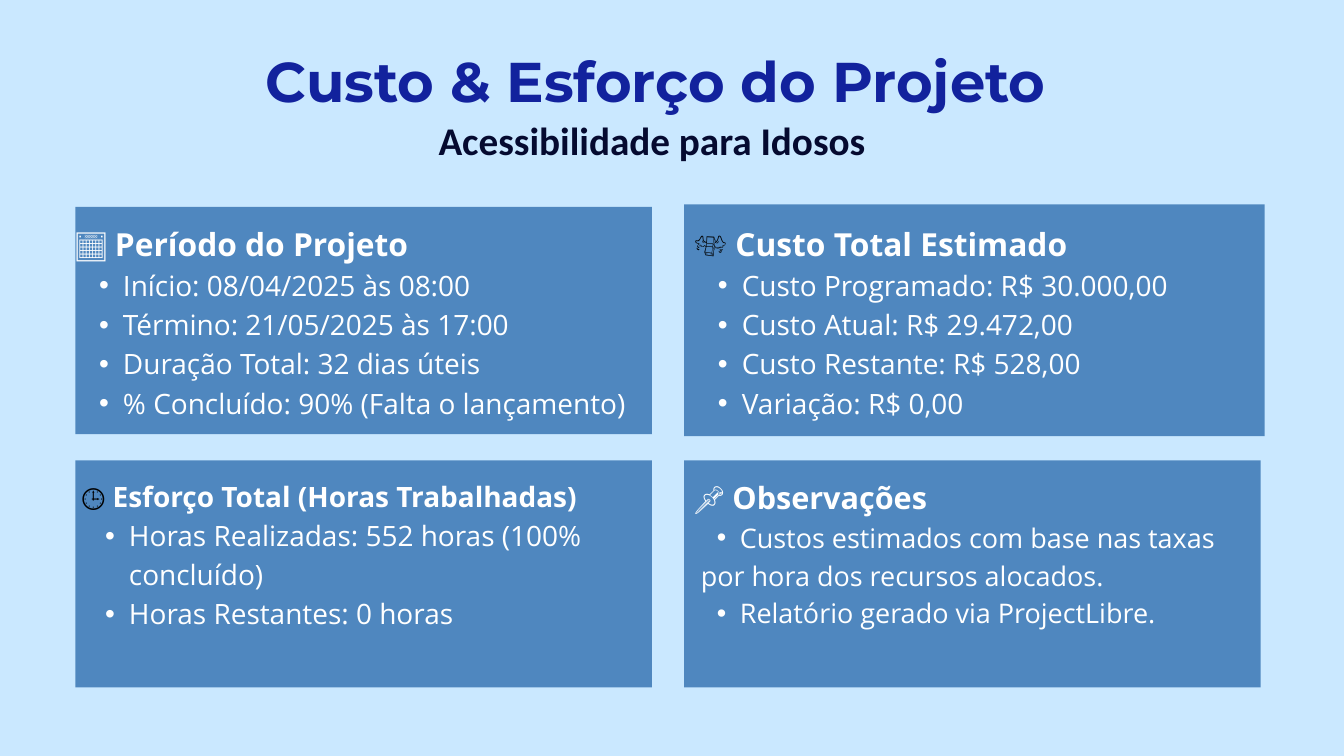
from lxml import etree
from pptx import Presentation
from pptx.dml.color import RGBColor
from pptx.enum.shapes import MSO_SHAPE as Shape
from pptx.enum.text import PP_ALIGN as Align
from pptx.oxml.ns import qn
from pptx.util import Inches, Pt

COLUMNS, ROWS = 20, 11.25
CELL = Inches(1)
WHITE, BLACK = "FFFFFF", "000000"
NAVY, INK = "12229D", "050A30"
SKY, PANEL = "CAE8FF", "2767AA"
LINE_RATIO = 1.4


def color(hex_code):
    return RGBColor.from_string(hex_code)


def grid(*cells):
    return [int(CELL * cell) for cell in cells]


def add_text_frame(slide, box):
    frame = slide.shapes.add_textbox(*grid(*box)).text_frame
    frame.word_wrap = True
    frame.margin_left = frame.margin_right = 0
    frame.margin_top = frame.margin_bottom = 0
    return frame


def style(paragraph, size, font_name, bold, hex_code=None, align=Align.LEFT):
    paragraph.alignment = align
    paragraph.line_spacing = Pt(round(size * LINE_RATIO, 1))
    paragraph.font.size = Pt(size)
    paragraph.font.name = font_name
    paragraph.font.bold = bold
    if hex_code:
        paragraph.font.color.rgb = color(hex_code)


def indent(paragraph, left, hanging=0):
    properties = paragraph._p.get_or_add_pPr()
    properties.set("marL", str(Inches(left)))
    properties.set("indent", str(-Inches(hanging)))
    return properties


def add_bullet(paragraph, left):
    paragraph.level = 1
    properties = indent(paragraph, left, left / 2)
    etree.SubElement(properties, qn("a:buFont")).set("typeface", "Arial")
    etree.SubElement(properties, qn("a:buChar")).set("char", "•")


def add_heading_line(slide, box, text, size, font_name, hex_code):
    line = add_text_frame(slide, box).paragraphs[0]
    line.text = text
    style(line, size, font_name, True, hex_code, Align.CENTER)


def add_header(slide, box):
    left, top, width, height = box
    add_heading_line(slide, (left, top, width, 1.1),
                     "Custo & Esforço do Projeto", 60, "Montserrat", NAVY)
    add_heading_line(slide, (left, top + 1.09, width - 0.1, height - 1.09),
                     "Acessibilidade para Idosos", 42, "Calibri", INK)


def add_panel(slide, box):
    panel = slide.shapes.add_shape(Shape.RECTANGLE, *grid(*box))
    panel.shadow.inherit = False
    panel.line.fill.background()
    panel.fill.solid()
    panel.fill.fore_color.rgb = color(PANEL)
    tint = panel._element.spPr.find(qn("a:solidFill"))[0]
    etree.SubElement(tint, qn("a:alpha")).set("val", "75000")


def add_card(slide, box, inset, text_width, icon, icon_color, title, items,
             title_size=34, item_size=30, item_indent=0.71,
             icon_bold=True, align=Align.LEFT):
    left, top, width, height = box
    add_panel(slide, box)
    dx, dy = inset
    frame = add_text_frame(slide, (left + dx, top + dy, text_width, height - dy))

    heading = frame.paragraphs[0]
    style(heading, title_size, "Open Sans", True, align=align)
    icon_run = heading.add_run()
    icon_run.text = icon
    icon_run.font.color.rgb = color(icon_color)
    if not icon_bold:
        icon_run.font.bold = False
    title_run = heading.add_run()
    title_run.text = f" {title}"
    title_run.font.color.rgb = color(WHITE)

    for item, bulleted in items:
        line = frame.add_paragraph()
        line.text = item
        if bulleted:
            add_bullet(line, item_indent)
        else:
            indent(line, 0.1)
        style(line, item_size, "Open Sans", False, WHITE, align)


def bullets(*items):
    return [(item, True) for item in items]


def main():
    deck = Presentation()
    deck.slide_width, deck.slide_height = grid(COLUMNS, ROWS)
    slide = deck.slides.add_slide(deck.slide_layouts[6])
    slide.background.fill.solid()
    slide.background.fill.fore_color.rgb = color(SKY)

    left_column, right_column = 1.12, 10.18
    upper_row, lower_row = 3.08, 6.85
    card_width, card_height = 8.58, 3.38

    add_header(slide, (3.6, 0.52, 12.31, 1.88))
    add_card(slide, (left_column, upper_row, card_width, card_height),
             (0, 0.17), 8.58, "📅", WHITE, "Período do Projeto",
             bullets("Início: 08/04/2025 às 08:00",
                     "Término: 21/05/2025 às 17:00",
                     "Duração Total: 32 dias úteis",
                     "% Concluído: 90% (Falta o lançamento)"),
             icon_bold=False)
    add_card(slide, (left_column, lower_row, card_width, card_height),
             (0.09, 0.2), 9.17, "🕒", BLACK, "Esforço Total (Horas Trabalhadas)",
             bullets("Horas Realizadas: 552 horas (100% concluído)",
                     "Horas Restantes: 0 horas"),
             title_size=30)
    add_card(slide, (right_column, upper_row - 0.04, 8.64, 3.45),
             (0.15, 0.21), 7.06, "💸", BLACK, "Custo Total Estimado",
             bullets("Custo Programado: R$ 30.000,00",
                     "Custo Atual: R$ 29.472,00",
                     "Custo Restante: R$ 528,00",
                     "Variação: R$ 0,00"))
    add_card(slide, (right_column, lower_row, card_width, card_height),
             (0.15, 0.19), 8.5, "📌", WHITE, "Observações",
             [("Custos estimados com base nas taxas", True),
              ("por hora dos recursos alocados.", False),
              ("Relatório gerado via ProjectLibre.", True)],
             title_size=32.8, item_size=28.9, item_indent=0.68,
             align=Align.JUSTIFY)
    deck.save("out.pptx")


if __name__ == "__main__":
    main()
